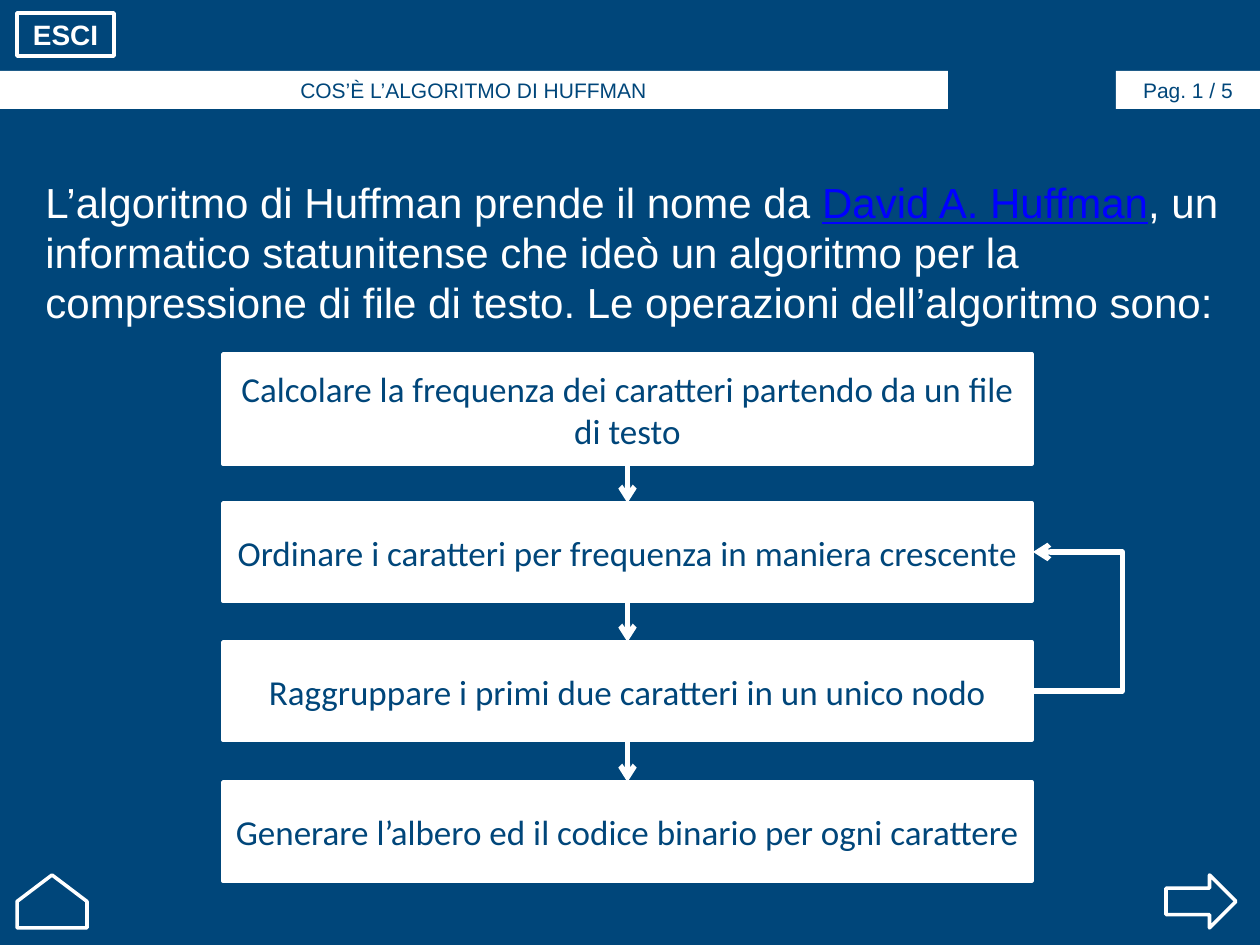
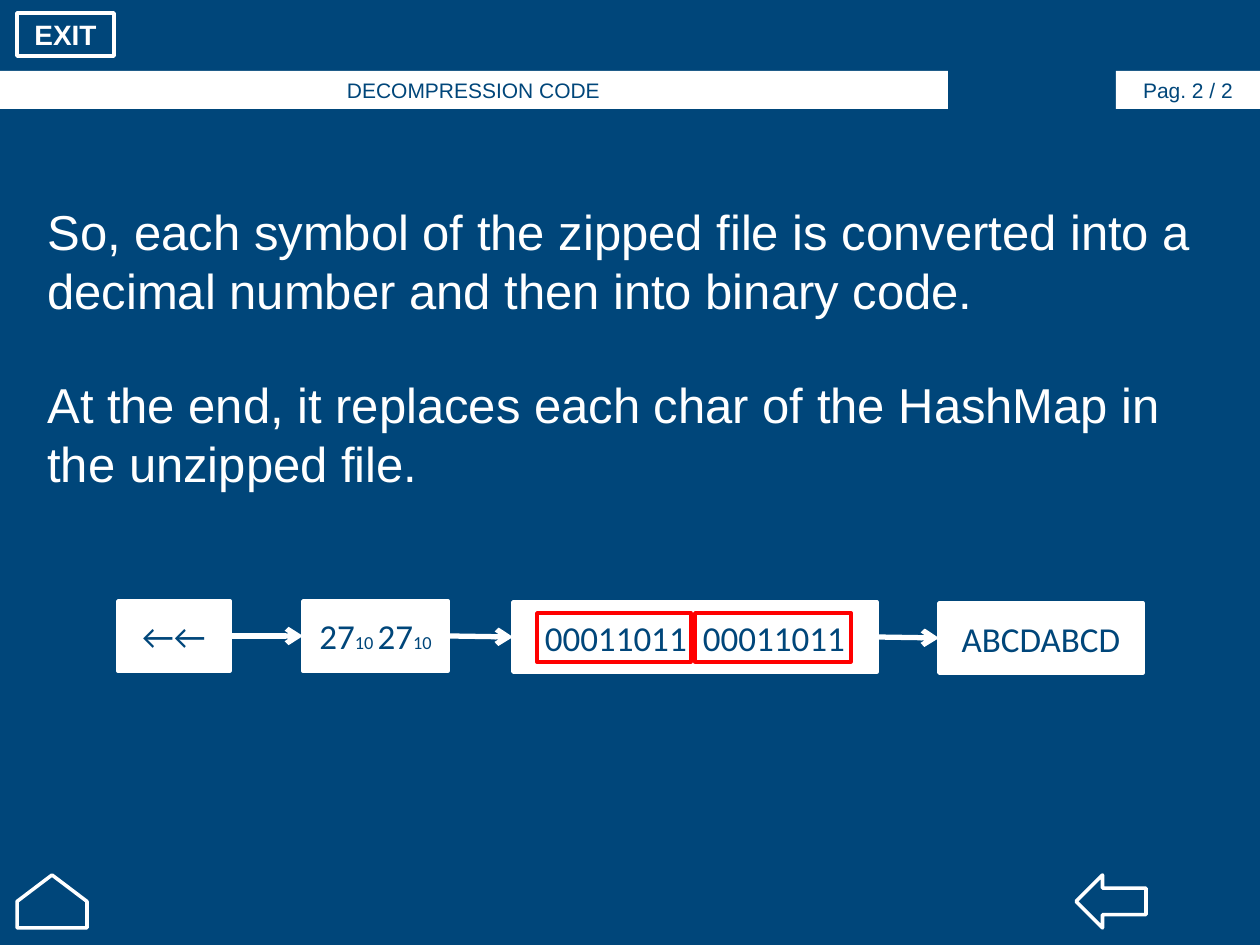
from itertools import pairwise

from lxml import etree
from pptx import Presentation
from pptx import util as u
from pptx.dml.color import RGBColor
from pptx.enum import shapes, text
from pptx.oxml import ns

PX = 914400 / 126
COLORS = {"navy": "00467A", "white": "FFFFFF", "link": "0000FF", "red": "FF0000"}
SHAPE = shapes.MSO_SHAPE
TOP, LEFT, BOTTOM, RIGHT = range(4)  # connection sites of a rectangle

BAR_FONT = {"name": "Arial", "size": u.Pt(12), "color": "navy"}
BUTTON_FONT = {"name": "Arial", "size": u.Pt(16), "bold": True, "color": "white"}
STEP_FONT = {"name": "Calibri", "size": u.Pt(20), "color": "navy"}
SUBSCRIPT = {"size": u.Pt(10.5)}


def emu(*lengths):
    return [round(n * PX) for n in lengths]


def rgb(color):
    return RGBColor.from_string(COLORS[color])


def format_font(font, values):
    for key, value in values.items():
        if key == "color":
            font.color.rgb = rgb(value)
        else:
            setattr(font, key, value)


def write(tf, paragraphs, font, align, gap=0):
    """Fill a frame; each paragraph is a list of (text, font changes) runs."""
    tf.word_wrap = True
    for i, runs in enumerate(paragraphs):
        p = tf.add_paragraph() if i else tf.paragraphs[0]
        p.alignment = align
        if i:
            p.space_before = u.Pt(gap)
        for content, changes in runs:
            r = p.add_run()
            r.text = content
            format_font(r.font, {**font, **changes})


def add_shape(s, kind, box, fill=None, line=None):
    sp = s.shapes.add_shape(kind, *emu(*box))
    sp.shadow.inherit = False
    if fill:
        sp.fill.solid()
        sp.fill.fore_color.rgb = rgb(fill)
    else:
        sp.fill.background()
    if line:
        sp.line.color.rgb = rgb(line)
        sp.line.width = u.Pt(2)
    else:
        sp.line.fill.background()
    return sp


def add_bar(s, box, label):
    sp = add_shape(s, SHAPE.RECTANGLE, box, "white")
    sp.text_frame.vertical_anchor = text.MSO_ANCHOR.TOP
    write(sp.text_frame, [[(label, {})]], BAR_FONT, text.PP_ALIGN.CENTER)


def add_label(s, kind, box, fill, runs, font):
    """Add an outlined shape with one centred line of runs."""
    sp = add_shape(s, kind, box, fill, "white")
    sp.text_frame.vertical_anchor = text.MSO_ANCHOR.MIDDLE
    write(sp.text_frame, [runs], font, text.PP_ALIGN.CENTER)
    return sp


def add_step(s, box, *runs):
    return add_label(s, SHAPE.RECTANGLE, box, "white", runs, STEP_FONT)


def add_body(s, box, paragraphs, size, gap=0):
    sp = s.shapes.add_textbox(*emu(*box))
    font = {"name": "Arial", "size": u.Pt(size), "color": "white"}
    write(sp.text_frame, paragraphs, font, text.PP_ALIGN.LEFT, gap)
    sp.text_frame.auto_size = text.MSO_AUTO_SIZE.SHAPE_TO_FIT_TEXT


def add_arrow(s, kind, *ends):
    cx = s.shapes.add_connector(kind, *emu(*ends))
    cx.line.color.rgb = rgb("white")
    cx.line.width = u.Pt(3)
    etree.SubElement(cx.line._get_or_add_ln(), ns.qn("a:tailEnd"), type="arrow")
    etree.SubElement(cx._element.spPr, ns.qn("a:effectLst"))
    return cx


def link_steps(s, steps, exit_site, entry_site):
    for a, b in pairwise(steps):
        cx = add_arrow(s, shapes.MSO_CONNECTOR.STRAIGHT, 0, 0, 0, 0)
        cx.begin_connect(a, exit_site)
        cx.end_connect(b, entry_site)


def add_loop(s, x, y_from, y_to, reach):
    """Add an elbow arrow that leaves and returns on the same side."""
    cx = add_arrow(s, shapes.MSO_CONNECTOR.ELBOW, x, y_from, x + 1, y_to)
    guides = cx._element.spPr.find(ns.qn("a:prstGeom")).get_or_add_avLst()
    etree.SubElement(guides, ns.qn("a:gd"), name="adj1", fmla=f"val {reach * 100000}")


def add_page(prs, title, page, exit_label, arrow, arrow_x):
    s = prs.slides.add_slide(prs.slide_layouts[6])
    s.background.fill.solid()
    s.background.fill.fore_color.rgb = rgb("navy")
    add_shape(s, arrow, (arrow_x, 875, 70, 53), "navy", "white")
    home = add_shape(s, SHAPE.UP_ARROW, (17, 875, 70, 53), "navy", "white")
    home.adjustments[0] = 1
    home.adjustments[1] = 0.5
    add_bar(s, (-1, 71, 949, 38), title)
    add_bar(s, (1116, 71, 144, 38), page)
    add_label(s, SHAPE.ACTION_BUTTON_CUSTOM, (17, 13, 97, 43), "navy",
              [(exit_label, {})], BUTTON_FONT)
    return s


def build_algorithm(prs):
    s = add_page(prs, "COS’È L’ALGORITMO DI HUFFMAN", "Pag. 1 / 5", "ESCI",
                 SHAPE.RIGHT_ARROW, 1166)
    add_body(s, (33, 170, 1201, 165), [[
        ("L’algoritmo di Huffman prende il nome da ", {}),
        ("David A. Huffman", {"color": "link", "underline": True}),
        (", un informatico statunitense che ideò un algoritmo per la compressione "
         "di file di testo. Le operazioni dell’algoritmo sono:", {}),
    ]], 24)
    operations = [
        (354, 110, "Calcolare la frequenza dei caratteri partendo da un file di testo"),
        (503, 98, "Ordinare i caratteri per frequenza in maniera crescente"),
        (642, 98, "Raggruppare i primi due caratteri in un unico nodo"),
        (782, 99, "Generare l’albero ed il codice binario per ogni carattere"),
    ]
    steps = [add_step(s, (223, y, 809, h), (label, {})) for y, h, label in operations]
    link_steps(s, steps, BOTTOM, TOP)
    add_loop(s, 1032, 691, 552, 91)


def build_decompression(prs):
    s = add_page(prs, "DECOMPRESSION CODE", "Pag. 2 / 2", "EXIT",
                 SHAPE.LEFT_ARROW, 1076)
    add_body(s, (35, 195, 1201, 310), [
        [("So, each symbol of the zipped file is converted into a decimal number "
          "and then into binary code.", {})],
        [("At the end, it replaces each char of the HashMap in the unzipped file.", {})],
    ], 28, gap=32)
    symbols = add_step(s, (118, 601, 112, 70), ("←←", {}))
    decimals = add_step(s, (303, 601, 145, 70), ("27", {}), ("10 ", SUBSCRIPT),
                        ("27", {}), ("10", SUBSCRIPT))
    binary = add_step(s, (513, 602, 364, 70), ("00011011", {}), (" ", {}),
                      ("00011011", {}))
    byte_gap = binary.text_frame.paragraphs[0].runs[1]
    byte_gap.font._element.set("spc", "450")
    chars = add_step(s, (939, 603, 204, 70), ("ABCDABCD", {}))
    link_steps(s, [symbols, decimals, binary, chars], RIGHT, LEFT)
    for x, w in ((537, 154), (695, 156)):
        add_shape(s, SHAPE.RECTANGLE, (x, 613, w, 49), line="red")


def main():
    prs = Presentation()
    prs.slide_width, prs.slide_height = emu(1260, 945)
    build_algorithm(prs)
    build_decompression(prs)
    prs.save("out.pptx")


if __name__ == "__main__":
    main()
